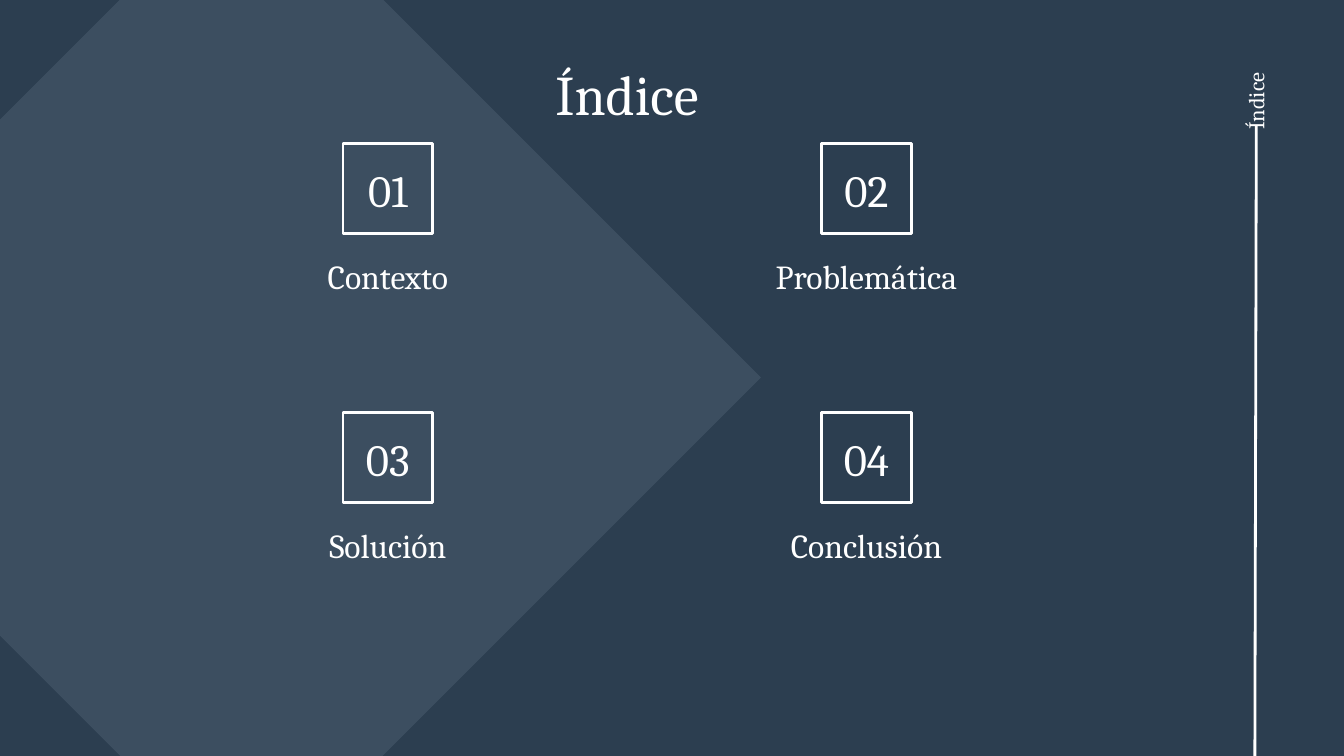
from collections import namedtuple

from lxml import etree
from pptx import Presentation
from pptx.dml.color import RGBColor
from pptx.enum.shapes import MSO_CONNECTOR, MSO_SHAPE
from pptx.enum.text import MSO_ANCHOR, MSO_AUTO_SIZE, PP_ALIGN
from pptx.oxml.ns import qn
from pptx.util import Pt

DIAMOND, SQUARE = MSO_SHAPE.DIAMOND, MSO_SHAPE.RECTANGLE
STRAIGHT = MSO_CONNECTOR.STRAIGHT
TOP, MIDDLE = MSO_ANCHOR.TOP, MSO_ANCHOR.MIDDLE
CENTER, RIGHT = PP_ALIGN.CENTER, PP_ALIGN.RIGHT
NO_FIT = MSO_AUTO_SIZE.NONE

NAVY, PALE, WHITE = "2C3E50", "CFE2F3", "FFFFFF"
FONT = "Cambria"
INSET = 7.2
TITLE_ONLY = 5

Box = namedtuple("Box", "left top width height")


def color(hex_text):
    return RGBColor.from_string(hex_text)


def points(box):
    return [Pt(value) for value in box]


def write(shape, text, size, align=CENTER, anchor=TOP):
    frame = shape.text_frame
    formats = {
        "word_wrap": True, "auto_size": NO_FIT, "vertical_anchor": anchor,
        "margin_left": Pt(INSET), "margin_right": Pt(INSET),
        "margin_top": Pt(INSET), "margin_bottom": Pt(INSET),
    }
    for name, value in formats.items():
        setattr(frame, name, value)
    para = frame.paragraphs[0]
    para.alignment = align
    para.line_spacing = 1.0
    para.space_before = Pt(0)
    span = para.add_run()
    span.text = text
    for name, value in {"name": FONT, "size": Pt(size)}.items():
        setattr(span.font, name, value)
    span.font.color.rgb = color(WHITE)


def add_text(page, box, text, size, **layout):
    shape = page.shapes.add_textbox(*points(box))
    write(shape, text, size, **layout)
    return shape


def add_backdrop(page, box):
    fill = page.background.fill
    fill.solid()
    fill.fore_color.rgb = color(NAVY)
    diamond = page.shapes.add_shape(DIAMOND, *points(box))
    diamond.shadow.inherit = False
    diamond.line.fill.background()
    diamond.fill.solid()
    diamond.fill.fore_color.rgb = color(PALE)
    # 10 % opacity
    tint = diamond.fill._xPr.find(qn("a:solidFill"))[0]
    etree.SubElement(tint, qn("a:alpha")).set("val", "10000")


def add_heading(page, box, text):
    title = page.shapes.title
    title.left, title.top, title.width, title.height = points(box)
    write(title, text, 30)


def add_entry(page, box, number, label):
    side = 48
    middle = box.left + box.width / 2
    # Outlined square
    square = page.shapes.add_shape(
        SQUARE, *points(Box(middle - side / 2, box.top, side, side)))
    square.shadow.inherit = False
    square.fill.background()
    square.line.color.rgb = color(WHITE)
    square.line.width = Pt(1.5)
    # Number and label
    add_text(page, Box(middle - 39, box.top + 8.3, 78, 32), number, 24, anchor=MIDDLE)
    add_text(page, Box(box.left, box.top + 53, box.width, 66), label, 18)


def add_index(page, box, labels):
    column_step, row_step = 256.4, 144.2
    for i, label in enumerate(labels):
        row, column = divmod(i, 2)
        cell = Box(box.left + column * column_step, box.top + row * row_step,
                   box.width - column_step, box.height - row_step)
        add_entry(page, cell, f"{i + 1:02}", label)


def add_side_rail(page, box, text):
    # Vertical rule
    middle = box.left + box.width / 2
    rule = page.shapes.add_connector(
        STRAIGHT, *points((middle + 0.4, 67.5, middle - 0.4, 410.5)))
    rule.line.color.rgb = color(WHITE)
    rule.line.width = Pt(1.5)
    etree.SubElement(rule._element.spPr, qn("a:effectLst"))
    # Rotated section name: width and height swap around the same centre
    flat = Box(middle - box.height / 2, box.top + (box.height - box.width) / 2,
               box.height, box.width)
    name = add_text(page, flat, text, 12, align=RIGHT, anchor=MIDDLE)
    name.rotation = 270


def main():
    deck = Presentation()
    deck.slide_width, deck.slide_height = Pt(720), Pt(405)
    page = deck.slides.add_slide(deck.slide_layouts[TITLE_ONLY])
    add_backdrop(page, Box(-138.2, -70.6, 545.8, 545.8))
    add_index(page, Box(98.7, 77, 474.6, 263.2),
              ["Contexto", "Problemática", "Solución", "Conclusión"])
    add_side_rail(page, Box(664, 31.7, 17.3, 341.3), "Índice")
    add_heading(page, Box(183.6, 24.5, 304.6, 48.2), "Índice")
    deck.save("out.pptx")


if __name__ == "__main__":
    main()
